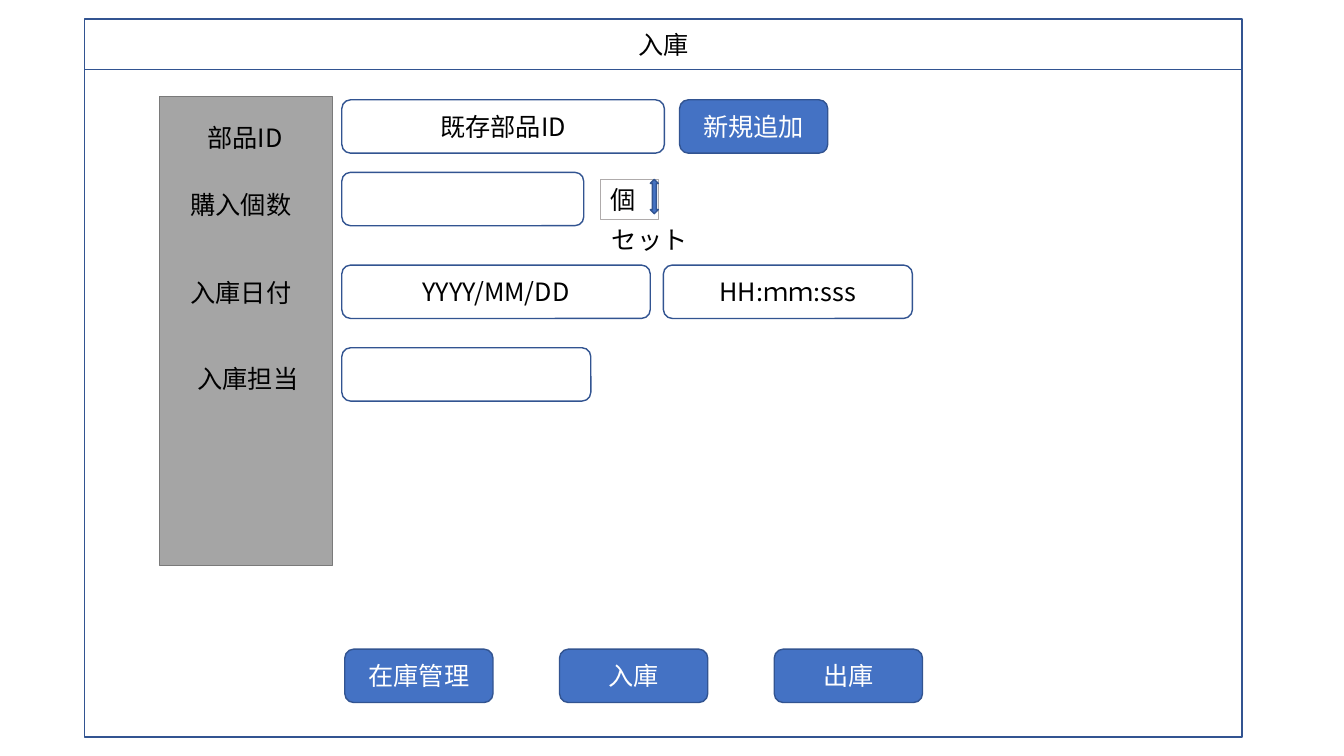
"""Build the parts-receiving screen mock-up slide."""
from pptx import Presentation
from pptx.dml.color import RGBColor
from pptx.enum.shapes import MSO_SHAPE as Shape
from pptx.enum.text import MSO_ANCHOR as Anchor, PP_ALIGN as Align
from pptx.oxml.ns import qn
from pptx.util import Inches, Pt
from lxml.etree import SubElement

FONT = "Noto Sans CJK JP"
BLACK = RGBColor(0x00, 0x00, 0x00)
WHITE = RGBColor(0xFF, 0xFF, 0xFF)
BLUE = RGBColor(0x44, 0x72, 0xC4)
NAVY = RGBColor(0x32, 0x54, 0x91)
GREY = RGBColor(0xA5, 0xA5, 0xA5)
DARK_GREY = RGBColor(0x7A, 0x7A, 0x7A)
LIGHT_GREY = RGBColor(0xAF, 0xAB, 0xAB)

TITLE = "入庫"
LABELS = [
    ("部品ID", 1.96, 1.16, 1.16),
    ("購入個数", 1.79, 1.83, 1.49),
    ("入庫日付", 1.79, 2.7, 1.49),
    ("入庫担当", 1.86, 3.56, 1.49),
]
FIELDS = [
    ("既存部品ID", 3.39, 0.99, 3.2),
    ("", 3.39, 1.71, 2.4),
    ("YYYY/MM/DD", 3.39, 2.63, 3.06),
    ("HH:ｍｍ:sss", 6.58, 2.63, 2.47),
    ("", 3.39, 3.45, 2.47),
]
ADD_BUTTON = ("新規追加", 6.74, 0.99)
MENU = ["在庫管理", "入庫", "出庫"]
UNIT = ("個", 5.96, 1.78, 0.57)
OTHER_UNIT = ("セット", 5.97, 2.18, 0.95)

WINDOW_LEFT, WINDOW_WIDTH = 0.84, 11.48
TITLE_TOP, TITLE_HEIGHT, BODY_HEIGHT = 0.19, 0.5, 6.62
FIELD_HEIGHT, BUTTON_WIDTH, LABEL_HEIGHT = 0.53, 1.47, 0.4
MENU_LEFT, MENU_TOP, MENU_STEP = 3.42, 6.44, 2.13


def write(frame, text, color, align):
    paragraph = frame.paragraphs[0]
    paragraph.alignment = align
    run = paragraph.add_run()
    run.text = text
    run.font.size = Pt(18)
    run.font.name = FONT
    run.font.color.rgb = color
    SubElement(run.font._element, qn("a:ea"), typeface=FONT)


def add_box(kind, left, top, width, height, text="", fill=None, line=NAVY, color=BLACK):
    box = slide.shapes.add_shape(
        kind, Inches(left), Inches(top), Inches(width), Inches(height))
    box.shadow.inherit = False
    if fill is None:
        box.fill.background()
    else:
        box.fill.solid()
        box.fill.fore_color.rgb = fill
    box.line.color.rgb = line
    box.line.width = Pt(1)
    if text:
        box.text_frame.vertical_anchor = Anchor.MIDDLE
        write(box.text_frame, text, color, Align.CENTER)


def add_button(text, left, top):
    add_box(Shape.FLOWCHART_ALTERNATE_PROCESS, left, top, BUTTON_WIDTH, FIELD_HEIGHT,
            text, BLUE, color=WHITE)


def add_label(text, left, top, width):
    label = slide.shapes.add_textbox(
        Inches(left), Inches(top), Inches(width), Inches(LABEL_HEIGHT))
    label.text_frame.word_wrap = True
    label.text_frame.margin_right = 0
    write(label.text_frame, text, BLACK, Align.LEFT)
    return label


prs = Presentation()
prs.slide_width, prs.slide_height = Inches(13.33), Inches(7.5)
slide = prs.slides.add_slide(prs.slide_layouts[6])

add_box(Shape.RECTANGLE, WINDOW_LEFT, TITLE_TOP, WINDOW_WIDTH, TITLE_HEIGHT, TITLE)
for index, name in enumerate(MENU):
    add_button(name, MENU_LEFT + index * MENU_STEP, MENU_TOP)

add_box(Shape.RECTANGLE, 1.58, 0.96, 1.72, 4.65, fill=GREY, line=DARK_GREY)
for label_row in LABELS:
    add_label(*label_row)
for text, left, top, width in FIELDS:
    add_box(Shape.FLOWCHART_ALTERNATE_PROCESS, left, top, width, FIELD_HEIGHT, text)
add_button(*ADD_BUTTON)

unit = add_label(*UNIT)
unit.line.color.rgb = LIGHT_GREY
unit.line.width = Pt(0.75)
add_box(Shape.UP_DOWN_ARROW, 6.45, 1.78, 0.08, 0.34, fill=BLUE)
add_label(*OTHER_UNIT)

add_box(Shape.RECTANGLE, WINDOW_LEFT, TITLE_TOP + TITLE_HEIGHT, WINDOW_WIDTH, BODY_HEIGHT)

prs.save("out.pptx")
